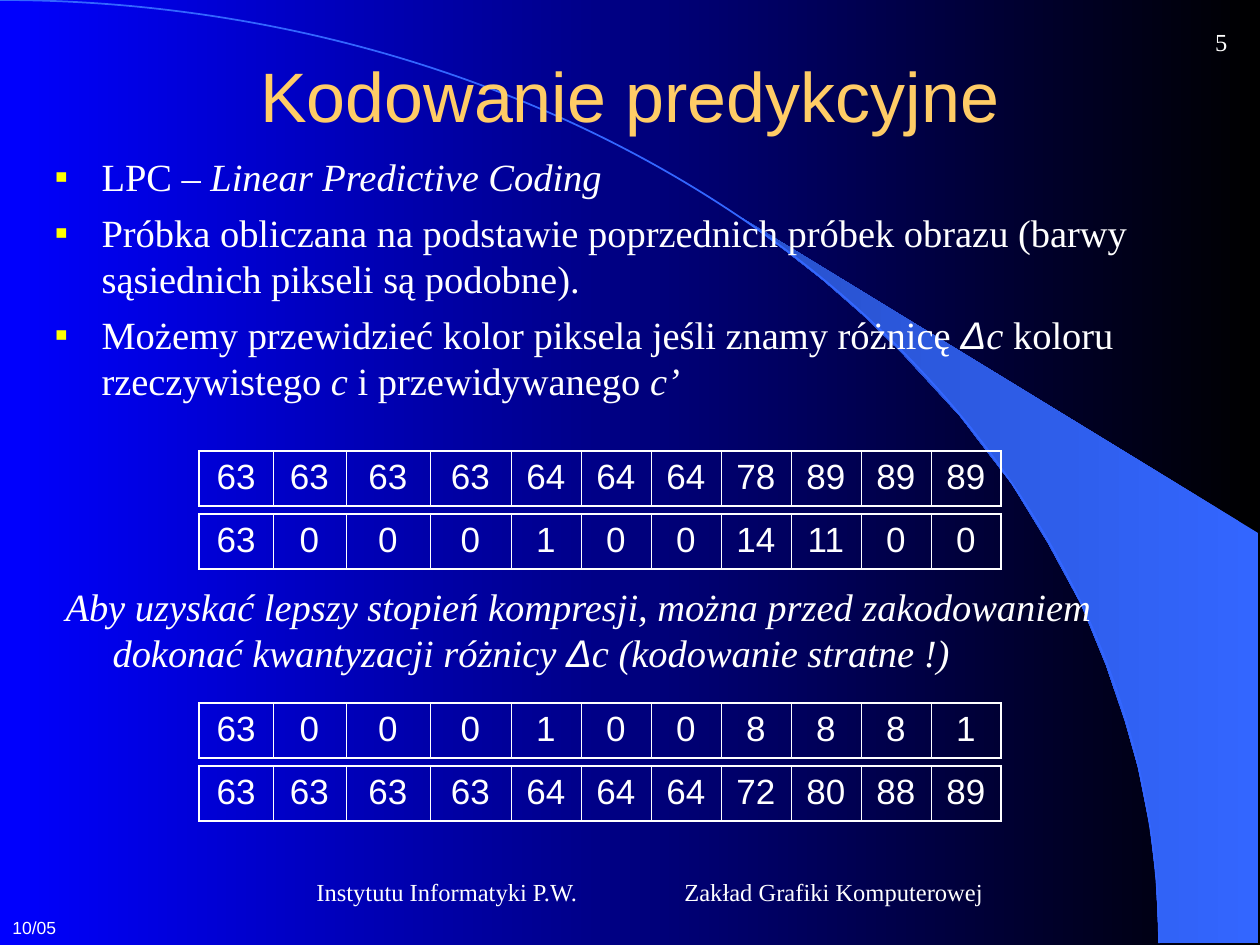
import pptx
import pptx.dml.color
import pptx.enum.shapes
import pptx.enum.text
import pptx.oxml
import pptx.oxml.ns
import pptx.util
from dataclasses import dataclass

ALIGN = pptx.enum.text.PP_ALIGN
ANCHOR = pptx.enum.text.MSO_ANCHOR
EMU_PER_PX = 914400 / 126


@dataclass(frozen=True)
class Theme:
    white: str = "FFFFFF"
    heading: str = "FFCC66"
    bullet: str = "FFFF00"
    arc: str = "3366FF"
    backdrop: tuple = ("000000", "0000FF")
    sweep: tuple = ("3366FF", "2851CB")
    serif: str = "Times New Roman"
    sans: str = "Arial"
    heading_size: int = 40
    body_size: int = 22
    cell_size: int = 20
    footer_size: int = 14
    date_size: int = 10
    body_gap: float = 5.5
    outer_line: float = 1.08
    inner_line: float = 0.45


THEME = Theme()

# A run is (text, italic) or (text, italic, font).
HEADING = [[("Kodowanie predykcyjne", False)]]
DELTA = ("Δ", True, THEME.sans)
POINTS = [
    [("LPC – ", False), ("Linear Predictive Coding", True)],
    [("Próbka obliczana na podstawie poprzednich próbek obrazu "
      "(barwy sąsiednich pikseli są podobne).", False)],
    [("Możemy przewidzieć kolor piksela jeśli znamy różnicę ", False), DELTA,
     ("c", True), (" koloru rzeczywistego ", False), ("c", True),
     (" i przewidywanego ", False), ("c’", True)],
]
REMARK = [[("Aby uzyskać lepszy stopień kompresji, można przed zakodowaniem "
            "dokonać kwantyzacji różnicy ", True), DELTA,
           ("c (kodowanie stratne !)", True)]]

# Top of each one-row table and its samples.
SAMPLE_ROWS = [
    (451, [63, 63, 63, 63, 64, 64, 64, 78, 89, 89, 89]),
    (514, [63, 0, 0, 0, 1, 0, 0, 14, 11, 0, 0]),
    (703, [63, 0, 0, 0, 1, 0, 0, 8, 8, 8, 1]),
    (766, [63, 63, 63, 63, 64, 64, 64, 72, 80, 88, 89]),
]
SAMPLES_LEFT, SAMPLES_HEIGHT = 199, 55
COLUMN_WIDTHS = [74, 73, 84, 81] + [70] * 7

# Text, box, size, font, alignment, anchor.
LABELS = [
    ("10/05", (0, 911, 84, 34), THEME.date_size, THEME.sans, ALIGN.LEFT, ANCHOR.TOP),
    ("Zakład Grafiki Komputerowej", (672, 872, 496, 39),
     THEME.footer_size, THEME.serif, ALIGN.LEFT, ANCHOR.MIDDLE),
    ("5", (1124, 10, 116, 63),
     THEME.footer_size, THEME.serif, ALIGN.RIGHT, ANCHOR.MIDDLE),
    ("Instytutu Informatyki P.W.", (94, 872, 496, 39),
     THEME.footer_size, THEME.serif, ALIGN.RIGHT, ANCHOR.MIDDLE),
]

ARC_BOX = (-1159, 0, 2318, 1886)
SWEEP = [(1159, 943), (1258, 943), (1258, 533), (742, 218), (786, 251),
         (823, 280), (863, 315), (902, 353), (960, 416), (1012, 484),
         (1048, 543), (1081, 604), (1106, 665), (1125, 721), (1138, 767),
         (1150, 827), (1156, 877)]


def px(length):
    return pptx.util.Emu(round(length * EMU_PER_PX))


def rgb(code):
    return pptx.dml.color.RGBColor.from_string(code)


def set_all(target, **values):
    for name, value in values.items():
        setattr(target, name, value)


def place(shape, box):
    sides = ("left", "top", "width", "height")
    set_all(shape, **dict(zip(sides, map(px, box))))


def fill_right_to_left(fill, colors):
    fill.gradient()
    fill.gradient_angle = 180
    for stop, color, position in zip(fill.gradient_stops, colors, (0, 1)):
        stop.color.rgb = rgb(color)
        stop.position = position


def set_bullet(paragraph, mark):
    """Give a hanging indent, with a bullet mark or with none."""
    props = paragraph._p.get_or_add_pPr()
    props.set("marL", str(px(47)))
    props.set("indent", str(px(-47)))
    ns = pptx.oxml.ns.nsdecls("a")
    if mark:
        parts = [f'<a:buClr {ns}><a:srgbClr val="{THEME.bullet}"/></a:buClr>',
                 f'<a:buFont {ns} typeface="{THEME.serif}"/>',
                 f'<a:buChar {ns} char="{mark}"/>']
    else:
        parts = [f"<a:buNone {ns}/>"]
    for part in parts:
        props.append(pptx.oxml.parse_xml(part))


def write(frame, paragraphs, size, font, color=THEME.white, align=ALIGN.LEFT,
          anchor=ANCHOR.TOP, gap=0, bullet=None, hanging=False):
    set_all(frame, word_wrap=True, vertical_anchor=anchor,
            auto_size=pptx.enum.text.MSO_AUTO_SIZE.NONE)
    for index, runs in enumerate(paragraphs):
        paragraph = frame.add_paragraph() if index else frame.paragraphs[0]
        set_all(paragraph, alignment=align,
                space_before=pptx.util.Pt(gap if index else 0))
        if hanging:
            set_bullet(paragraph, bullet)
        for text, italic, *own_font in runs:
            run = paragraph.add_run()
            run.text = text
            set_all(run.font, size=pptx.util.Pt(size), italic=italic,
                    name=own_font[0] if own_font else font)
            run.font.color.rgb = rgb(color)


def set_borders(cell, first, last):
    widths = {"L": THEME.outer_line if first else THEME.inner_line,
              "R": THEME.outer_line if last else THEME.inner_line,
              "T": THEME.outer_line, "B": THEME.outer_line}
    props = cell._tc.get_or_add_tcPr()
    for order, (side, width) in enumerate(widths.items()):
        props.insert(order, pptx.oxml.parse_xml(
            f'<a:ln{side} {pptx.oxml.ns.nsdecls("a")} w="{pptx.util.Pt(width)}">'
            f'<a:solidFill><a:srgbClr val="{THEME.white}"/></a:solidFill></a:ln{side}>'))


def add_samples(slide, top, samples):
    table = slide.shapes.add_table(
        1, len(samples), px(SAMPLES_LEFT), px(top),
        px(sum(COLUMN_WIDTHS)), px(SAMPLES_HEIGHT)).table
    set_all(table, first_row=False, horz_banding=False)
    for index, (sample, width) in enumerate(zip(samples, COLUMN_WIDTHS)):
        table.columns[index].width = px(width)
        cell = table.cell(0, index)
        write(cell.text_frame, [[(str(sample), False)]], THEME.cell_size,
              THEME.sans, align=ALIGN.CENTER)
        cell.fill.background()
        set_borders(cell, index == 0, index == len(samples) - 1)


def add_backdrop(slide, front):
    """Draw the sweep and its arc behind the front shape."""
    fill_right_to_left(slide.background.fill, THEME.backdrop)
    outline = slide.shapes.build_freeform(*SWEEP[0], scale=EMU_PER_PX)
    outline.add_line_segments(SWEEP[1:], close=True)
    sweep = outline.convert_to_shape()
    fill_right_to_left(sweep.fill, THEME.sweep)
    sweep.line.fill.background()
    arc = slide.shapes.add_shape(pptx.enum.shapes.MSO_SHAPE.ARC, *map(px, ARC_BOX))
    arc.fill.background()
    arc.line.color.rgb = rgb(THEME.arc)
    arc.line.width = pptx.util.Pt(1)
    for shape in (sweep, arc):
        shape.shadow.inherit = False
        front._element.addprevious(shape._element)


def main():
    deck = pptx.Presentation()
    set_all(deck, slide_width=px(1260), slide_height=px(945))
    slide = deck.slides.add_slide(deck.slide_layouts.get_by_name("Two Content"))
    heading, points, remark = slide.placeholders
    add_backdrop(slide, heading)
    place(heading, (47, 53, 1165, 84))
    write(heading.text_frame, HEADING, THEME.heading_size, THEME.sans,
          THEME.heading, ALIGN.CENTER, ANCHOR.MIDDLE)
    for holder, box, paragraphs, bullet in (
            (points, (42, 147, 1165, 294), POINTS, "▪"),
            (remark, (53, 577, 1165, 105), REMARK, None)):
        place(holder, box)
        write(holder.text_frame, paragraphs, THEME.body_size, THEME.serif,
              gap=THEME.body_gap, bullet=bullet, hanging=True)
    for top, samples in SAMPLE_ROWS:
        add_samples(slide, top, samples)
    for text, box, size, font, align, anchor in LABELS:
        label = slide.shapes.add_textbox(*map(px, box))
        write(label.text_frame, [[(text, False)]], size, font,
              align=align, anchor=anchor)
    deck.save("out.pptx")


if __name__ == "__main__":
    main()
